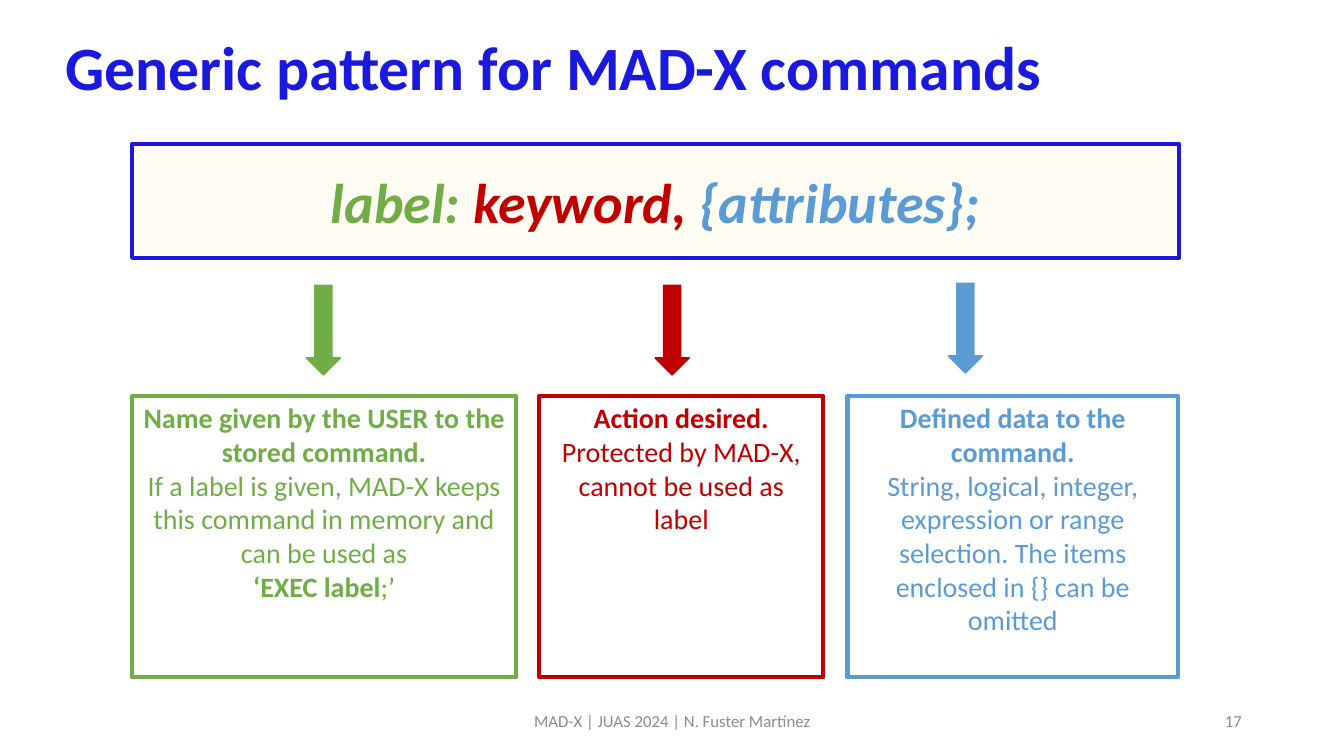
from dataclasses import dataclass

from lxml import etree
from pptx import Presentation
from pptx.dml.color import RGBColor
from pptx.enum import shapes, text
from pptx.oxml import ns
from pptx.util import Cm, Pt


@dataclass(frozen=True)
class Theme:
    font: str = "Calibri"
    blue: str = "1C19DE"
    green: str = "70AD47"
    red: str = "C00000"
    sky: str = "5B9BD5"
    cream: str = "FFF2CC"
    grey: str = "8C8C8C"
    title_size: int = 44
    pattern_size: int = 40
    body_size: int = 20
    footer_size: int = 12


@dataclass(frozen=True)
class Area:
    left: float
    top: float
    width: float
    height: float

    def lengths(self) -> tuple:
        return Cm(self.left), Cm(self.top), Cm(self.width), Cm(self.height)


@dataclass(frozen=True)
class Piece:
    words: str
    color: str
    size: int
    bold: bool = False
    italic: bool = False


@dataclass(frozen=True)
class Part:
    token: str
    color: str
    left: float
    width: float
    arrow_left: float
    arrow_top: float
    lines: tuple


THEME = Theme()
CENTER = text.PP_ALIGN.CENTER
MIDDLE = text.MSO_ANCHOR.MIDDLE
BOX_TOP, BOX_HEIGHT = 9.98, 7.09
ARROW_WIDTH, ARROW_HEIGHT = 0.86, 2.26

PARTS = (
    Part("label: ", THEME.green, 3.33, 9.68, 7.72, 7.19, (
        (("Name given by the USER to the stored command.", True),),
        (("If a label is given, MAD-X keeps this command in memory and can be used as", False),),
        (("‘", True), ("EXEC label", True), (";’", False)),
    )),
    Part("keyword, ", THEME.red, 13.59, 7.16, 16.51, 7.19, (
        (("Action desired.", True),),
        (("Protected by MAD-X, cannot be used as label", False),),
    )),
    Part("{attributes};", THEME.sky, 21.36, 8.33, 23.9, 7.14, (
        (("Defined data to the command.", True),),
        (("String, logical, integer, expression or range selection. "
          "The items enclosed in {} can be omitted", False),),
    )),
)


def write(frame, lines: list, align, anchor) -> None:
    frame.word_wrap = True
    frame.auto_size = text.MSO_AUTO_SIZE.NONE
    frame.vertical_anchor = anchor
    for index, pieces in enumerate(lines):
        paragraph = frame.paragraphs[0] if index == 0 else frame.add_paragraph()
        paragraph.alignment = align
        for piece in pieces:
            run = paragraph.add_run()
            run.text = piece.words
            run.font.name = THEME.font
            run.font.size = Pt(piece.size)
            run.font.bold = piece.bold
            run.font.italic = piece.italic
            run.font.color.rgb = RGBColor.from_string(piece.color)


def add_label(slide, area: Area, piece: Piece, align):
    shape = slide.shapes.add_textbox(*area.lengths())
    write(shape.text_frame, [[piece]], align, MIDDLE)
    return shape


def add_figure(slide, kind, area: Area, line: str, points: float, fill: str = ""):
    shape = slide.shapes.add_shape(kind, *area.lengths())
    shape.shadow.inherit = False
    shape.line.color.rgb = RGBColor.from_string(line)
    shape.line.width = Pt(points)
    if fill:
        shape.fill.solid()
        shape.fill.fore_color.rgb = RGBColor.from_string(fill)
    else:
        shape.fill.background()
    return shape


def set_opacity(shape, percent: int) -> None:
    color = shape.fill._xPr.find(ns.qn("a:solidFill"))[0]
    etree.SubElement(color, ns.qn("a:alpha")).set("val", str(percent * 1000))


def add_pattern(slide) -> None:
    banner = add_figure(slide, shapes.MSO_SHAPE.RECTANGLE,
                        Area(3.33, 3.63, 26.39, 2.87), THEME.blue, 3, THEME.cream)
    set_opacity(banner, 22)
    pieces = [Piece(part.token, part.color, THEME.pattern_size, True, True) for part in PARTS]
    write(banner.text_frame, [pieces], CENTER, MIDDLE)


def add_part(slide, part: Part) -> None:
    box = add_figure(slide, shapes.MSO_SHAPE.RECTANGLE,
                     Area(part.left, BOX_TOP, part.width, BOX_HEIGHT), part.color, 3)
    lines = [[Piece(words, part.color, THEME.body_size, bold) for words, bold in line]
             for line in part.lines]
    write(box.text_frame, lines, CENTER, text.MSO_ANCHOR.TOP)
    add_figure(slide, shapes.MSO_SHAPE.DOWN_ARROW,
               Area(part.arrow_left, part.arrow_top, ARROW_WIDTH, ARROW_HEIGHT),
               part.color, 1, part.color)


def main() -> None:
    presentation = Presentation()
    presentation.slide_width, presentation.slide_height = Cm(33.87), Cm(19.05)
    slide = presentation.slides.add_slide(presentation.slide_layouts[6])

    title = add_label(slide, Area(0, -0.05, 33.87, 3.68),
                      Piece("Generic pattern for MAD-X commands", THEME.blue,
                            THEME.title_size, True), text.PP_ALIGN.LEFT)
    title.text_frame.margin_left = Cm(1.65)
    title.text_frame.paragraphs[0].line_spacing = 0.9

    add_label(slide, Area(23.93, 17.65, 7.62, 1.02),
              Piece("17", THEME.grey, THEME.footer_size), text.PP_ALIGN.RIGHT)
    add_label(slide, Area(11.23, 17.65, 11.43, 1.02),
              Piece("MAD-X | JUAS 2024 | N. Fuster Martínez", THEME.grey,
                    THEME.footer_size), CENTER)

    add_pattern(slide)
    for part in PARTS:
        add_part(slide, part)
    presentation.save("out.pptx")


if __name__ == "__main__":
    main()
